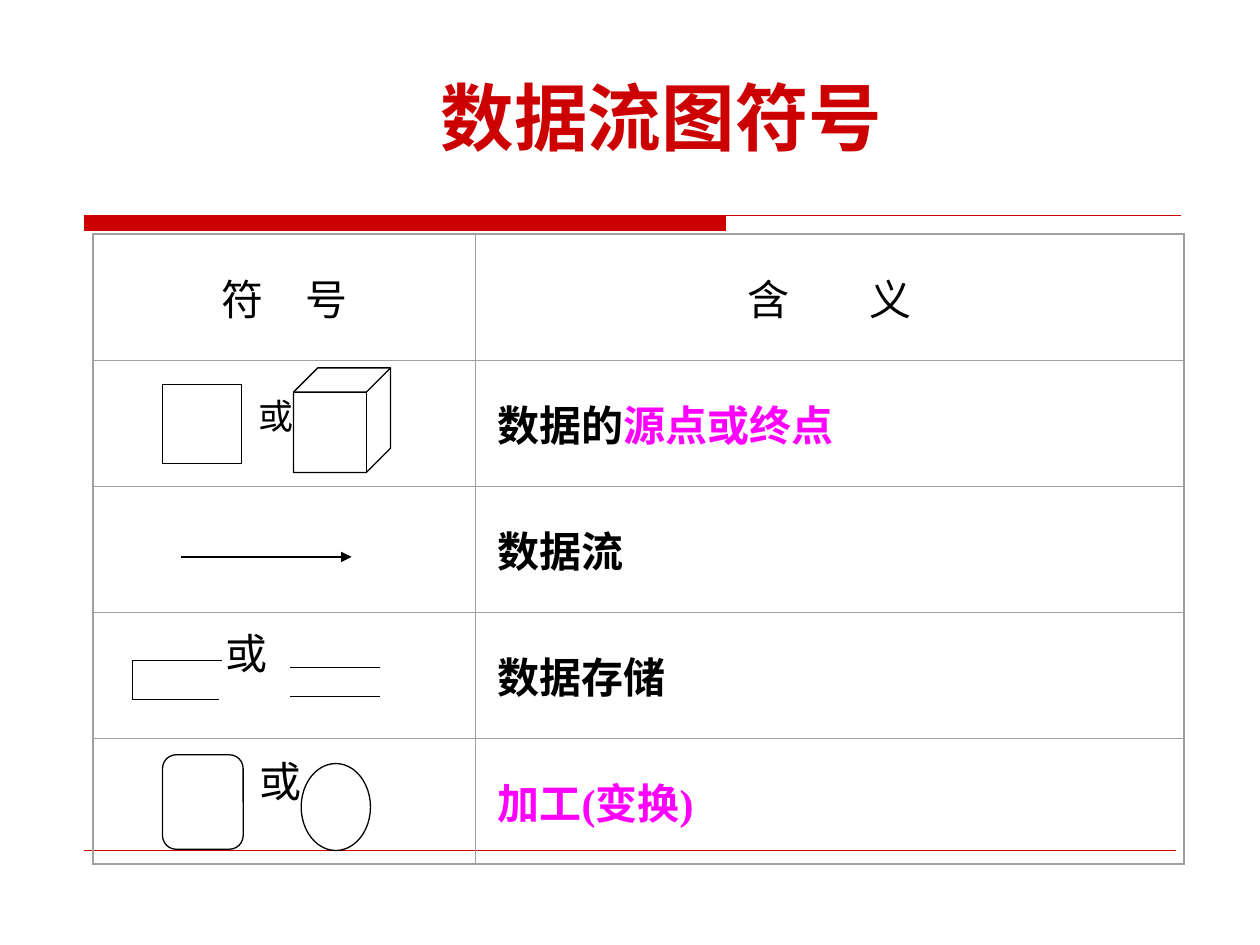
from dataclasses import dataclass
from typing import Optional

from lxml import etree
from pptx import Presentation
from pptx.dml.color import RGBColor
from pptx.enum.shapes import MSO_CONNECTOR, MSO_SHAPE
from pptx.enum.text import MSO_ANCHOR, PP_ALIGN
from pptx.oxml.ns import qn
from pptx.util import Emu, Pt

PX = 9144  # 100 px to the inch
RECT, CUBE = MSO_SHAPE.RECTANGLE, MSO_SHAPE.CUBE
ROUND, OVAL = MSO_SHAPE.ROUNDED_RECTANGLE, MSO_SHAPE.OVAL
STRAIGHT = MSO_CONNECTOR.STRAIGHT
MID, TOP = MSO_ANCHOR.MIDDLE, MSO_ANCHOR.TOP
CENTER, JUSTIFY = PP_ALIGN.CENTER, PP_ALIGN.JUSTIFY
HEX = {"red": "CC0000", "ink": "000000", "pink": "FF00FF",
       "grid": "A0A0A0", "white": "FFFFFF"}
SANS, SERIF = "Noto Sans CJK SC", "Times New Roman"


@dataclass
class Span:
    text: str
    color: str = "ink"
    size: int = 24
    bold: bool = False
    face: str = SERIF
    gap: int = 0  # extra letter spacing, points


@dataclass
class Label:
    box: tuple[int, int, int, int]
    span: Span
    align: PP_ALIGN = CENTER
    anchor: MSO_ANCHOR = TOP


@dataclass
class Form:
    kind: MSO_SHAPE
    box: tuple[int, int, int, int]
    fill: Optional[str] = "white"
    line: str = "ink"
    adj: Optional[float] = None


@dataclass
class Line:
    ends: tuple[int, int, int, int]
    color: str = "ink"
    width: float = 0.75
    arrow: bool = False


BARS = [Form(RECT, (67, 171, 509, 12), "red", "red")]
RULES = [Line((67, 171, 937, 171), "red"),
         Line((67, 675, 933, 675), "red", 0.25)]
GRID = (74, 186)
COLS, ROW = (303, 563), 100
HEADS = [[Span("符　号")],
         [Span("含"), Span("　", gap=22), Span("义")]]
MEANS = [
    [Span("数据的", bold=True), Span("源点或终点", "pink", bold=True)],
    [Span("数据流", bold=True)],
    [Span("数据存储", bold=True)],
    [Span("加工(变换)", "pink", bold=True)],
]
FORMS = [
    Form(RECT, (129, 305, 63, 63)),
    Form(CUBE, (233, 292, 77, 83), None, adj=0.25),
    Form(ROUND, (129, 599, 64, 75), adj=0.17),
    Form(OVAL, (239, 606, 55, 69)),
]
LINES = [
    Line((144, 442, 279, 442), arrow=True),
    Line((230, 530, 302, 530)),
    Line((230, 553, 302, 553)),
    Line((105, 524, 176, 524)),
    Line((105, 524, 105, 555)),
    Line((105, 555, 174, 555)),
]
LABELS = [
    Label((182, 308, 74, 70), Span("或", size=20)),
    Label((185, 595, 75, 76), Span("或")),
    Label((169, 493, 80, 77), Span("或"), JUSTIFY),
    Label((100, 30, 850, 125), Span("数据流图符号", "red", 42, True, SANS),
          CENTER, MID),
]


def emu(nums) -> list[Emu]:
    return [Emu(n * PX) for n in nums]


def rgb(name: str) -> RGBColor:
    return RGBColor.from_string(HEX[name])


def write(frame, spans: list[Span], align: PP_ALIGN) -> None:
    para = frame.paragraphs[0]
    para.alignment = align
    for span in spans:
        run = para.add_run()
        run.text = span.text
        looks = {"name": span.face, "size": Pt(span.size), "bold": span.bold}
        for key, value in looks.items():
            setattr(run.font, key, value)
        run.font.color.rgb = rgb(span.color)
        props = run.font._element
        etree.SubElement(props, qn("a:ea"), typeface=SANS)
        if span.gap:
            props.set("spc", str(span.gap * 100))


def put_label(slide, label: Label) -> None:
    frame = slide.shapes.add_textbox(*emu(label.box)).text_frame
    frame.word_wrap = True
    frame.vertical_anchor = label.anchor
    write(frame, [label.span], label.align)


def put_form(slide, form: Form) -> None:
    shape = slide.shapes.add_shape(form.kind, *emu(form.box))
    shape.shadow.inherit = False
    if form.adj is not None:
        shape.adjustments[0] = form.adj
    if form.fill:
        shape.fill.solid()
        shape.fill.fore_color.rgb = rgb(form.fill)
    else:
        shape.fill.background()
    shape.line.color.rgb = rgb(form.line)
    shape.line.width = Pt(0.75)


def put_line(slide, line: Line) -> None:
    link = slide.shapes.add_connector(STRAIGHT, *emu(line.ends))
    link.line.color.rgb = rgb(line.color)
    link.line.width = Pt(line.width)
    if line.arrow:
        etree.SubElement(link.line._get_or_add_ln(), qn("a:tailEnd"),
                         type="triangle")
    etree.SubElement(link._element.spPr, qn("a:effectLst"))


def edge(cell, sides: dict[str, bool]) -> None:
    """Draw cell borders, heavier where a side is on the table's rim."""
    props = cell._tc.get_or_add_tcPr()
    for side, rim in sides.items():
        width = Pt(1.25 if rim else 0.5)
        ln = etree.SubElement(props, qn(f"a:ln{side}"), w=str(width))
        fill = etree.SubElement(ln, qn("a:solidFill"))
        etree.SubElement(fill, qn("a:srgbClr"), val=HEX["grid"])


def put_table(slide) -> None:
    rows = [HEADS] + [[[], spans] for spans in MEANS]
    size = (sum(COLS), ROW * len(rows))
    table = slide.shapes.add_table(len(rows), len(COLS),
                                   *emu(GRID + size)).table
    table.first_row = table.horz_banding = False
    for col, width in zip(table.columns, emu(COLS)):
        col.width = width
    for r, row in enumerate(rows):
        table.rows[r].height = Emu(ROW * PX)
        for c, spans in enumerate(row):
            cell = table.cell(r, c)
            edge(cell, {"L": c == 0, "R": c == len(COLS) - 1,
                        "T": r == 0, "B": r == len(rows) - 1})
            cell.fill.background()
            cell.vertical_anchor = MID
            cell.margin_left = cell.margin_right = Emu(18 * PX)
            write(cell.text_frame, spans, JUSTIFY if r else CENTER)


def main() -> None:
    deck = Presentation()
    deck.slide_width, deck.slide_height = emu((1000, 750))
    slide = deck.slides.add_slide(deck.slide_layouts[6])
    for bar in BARS:
        put_form(slide, bar)
    for rule in RULES:
        put_line(slide, rule)
    put_table(slide)
    for form in FORMS:
        put_form(slide, form)
    for line in LINES:
        put_line(slide, line)
    for label in LABELS:
        put_label(slide, label)
    deck.save("out.pptx")


if __name__ == "__main__":
    main()
